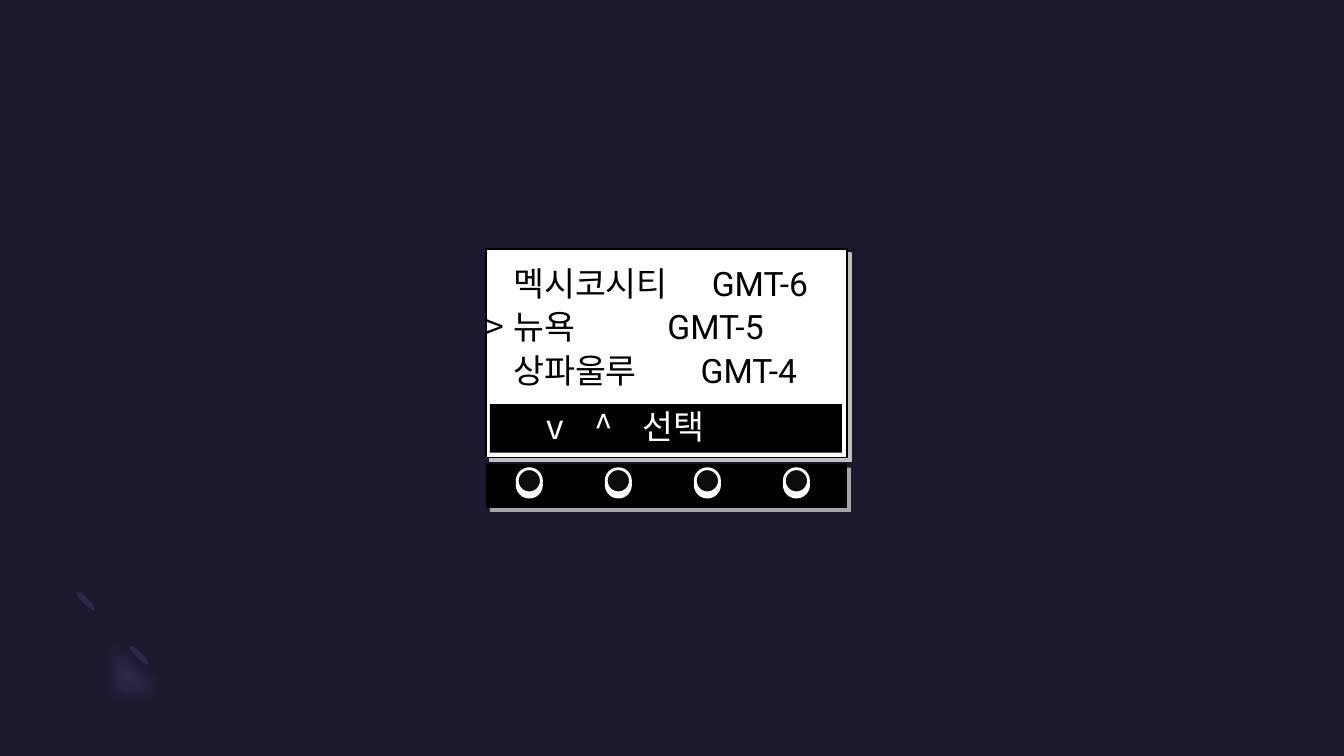
import pptx
import pptx.dml.color
import pptx.enum.shapes
import pptx.enum.text
import pptx.oxml
import pptx.oxml.ns
import pptx.util

Inches = pptx.util.Inches
Pt = pptx.util.Pt
SHAPE = pptx.enum.shapes.MSO_SHAPE
KOREAN, LATIN = "Noto Sans CJK KR", "Roboto"
NS = pptx.oxml.ns.nsdecls("a")


def colour(value):
    return pptx.dml.color.RGBColor.from_string(value)


def add_effect(shape, effect):
    shape.shadow.inherit = False
    shape._element.spPr.find(pptx.oxml.ns.qn("a:effectLst")).append(
        pptx.oxml.parse_xml(effect))


def add_shadow(shape, shade, distance, angle):
    add_effect(shape, f'<a:outerShdw {NS} blurRad="0" dist="{Pt(distance)}" '
                      f'dir="{angle * 60000}" algn="tl" rotWithShape="0">'
                      f'<a:srgbClr val="{shade}"/></a:outerShdw>')


def add_block(slide, kind, left, top, width, height, fill, line=None, weight=1):
    block = slide.shapes.add_shape(
        kind, Inches(left), Inches(top), Inches(width), Inches(height))
    block.shadow.inherit = False
    block.fill.solid()
    block.fill.fore_color.rgb = colour(fill)
    if line:
        block.line.color.rgb = colour(line)
        block.line.width = Pt(weight)
    else:
        block.line.fill.background()
    return block


def add_text(slide, runs, left, top, width, tabs, shade="000000", size=24):
    """Place one line of (text, font) runs, aligned on tab stops in inches."""
    label = slide.shapes.add_textbox(
        Inches(left), Inches(top), Inches(width), Inches(0.5))
    frame = label.text_frame
    frame.word_wrap = True
    frame.margin_left = frame.margin_right = 0
    paragraph = frame.paragraphs[0]
    stops = "".join(f'<a:tab pos="{Inches(stop)}" algn="l"/>' for stop in tabs)
    paragraph._p.get_or_add_pPr().append(
        pptx.oxml.parse_xml(f"<a:tabLst {NS}>{stops}</a:tabLst>"))
    for text, font in runs:
        run = paragraph.add_run()
        run.text = text
        run.font.name = font
        run.font.size = Pt(size)
        run.font.color.rgb = colour(shade)
        run._r.get_or_add_rPr().append(
            pptx.oxml.parse_xml(f'<a:ea {NS} typeface="{font}"/>'))


def curve(p0, p1, p2, p3, steps=12):
    """Points along a cubic curve, without its start."""
    points = []
    for step in range(1, steps + 1):
        t = step / steps
        weights = ((1 - t) ** 3, 3 * t * (1 - t) ** 2, 3 * t * t * (1 - t), t ** 3)
        points.append(tuple(
            sum(w * p[axis] for w, p in zip(weights, (p0, p1, p2, p3)))
            for axis in (0, 1)))
    return points


def draw_corner_ornament(slide, left, top):
    # Tilted ellipses at the ends of the arc
    for x, y in ((0.79, 0.55), (0.26, 0.01)):
        tip = add_block(slide, SHAPE.OVAL, left + x, top + y, 0.06, 0.26, "2C284A")
        tip.rotation = 135

    # Faint arc with soft edges
    outline = [(0.2, 0.77)]
    outline += curve(outline[-1], (0, 0.57), (0.02, 0.23), (0.25, 0))
    outline.append((0.43, 0.18))
    outline += curve(outline[-1], (0.31, 0.29), (0.3, 0.47), (0.4, 0.56))
    outline += curve(outline[-1], (0.5, 0.66), (0.67, 0.65), (0.79, 0.54))
    outline.append((0.96, 0.72))
    outline += curve(outline[-1], (0.74, 0.94), (0.39, 0.97), (0.2, 0.77))
    points = [(left + x, top + y) for x, y in outline]
    builder = slide.shapes.build_freeform(*points[0], scale=Inches(1))
    builder.add_line_segments(points[1:], close=True)
    arc = builder.convert_to_shape()
    arc.fill.solid()
    arc.fill.fore_color.rgb = colour("7771B2")
    arc.fill._xPr.find(".//" + pptx.oxml.ns.qn("a:srgbClr")).append(
        pptx.oxml.parse_xml(f'<a:alpha {NS} val="20000"/>'))
    arc.line.fill.background()
    add_effect(arc, f'<a:softEdge {NS} rad="{Pt(10)}"/>')


def draw_screen(slide, left, top, width, height):
    panel = add_block(slide, SHAPE.RECTANGLE, left, top, width, height,
                      "FFFFFF", "000000", 1)
    add_shadow(panel, "BFBFBF", 4, 45)

    # Time zone list, with a marker at the selected city
    zones = (("", "멕시코시티", "GMT-6", 2.24),
             (">", "뉴욕", "GMT-5", 1.8),
             ("", "상파울루", "GMT-4", 2.13))
    for row, (marker, city, offset, offset_left) in enumerate(zones):
        add_text(slide, ((f"{marker}\t{city}\t", KOREAN), (offset, LATIN)),
                 left, top + 0.09 + row * 0.43, width, (0.27, offset_left))

    # Soft key bar
    bar_top = top + height - 0.53
    add_block(slide, SHAPE.RECTANGLE, left + 0.04, bar_top, width - 0.09, 0.48,
              "000000")
    add_text(slide, (("\tv\t^\t선택", KOREAN),), left, bar_top - 0.03, width,
             (0.6, 1.08, 1.55), shade="FFFFFF")


def draw_buttons(slide, left, top, width, height):
    strip = add_block(slide, SHAPE.RECTANGLE, left, top, width, height, "000000")
    add_shadow(strip, "A6A6A6", 4, 45)
    for number in range(4):
        button = add_block(slide, SHAPE.OVAL, left + 0.31 + number * 0.883,
                           top + 0.05, 0.24, 0.24, "0D0D0D", "FFFFFF", 2)
        add_shadow(button, "FFFFFF", 3, 90)


def main():
    deck = pptx.Presentation()
    deck.slide_width, deck.slide_height = Inches(13.33), Inches(7.5)
    slide = deck.slides.add_slide(deck.slide_layouts[6])
    slide.background.fill.solid()
    slide.background.fill.fore_color.rgb = colour("1B192E")
    draw_corner_ornament(slide, 0.56, 5.82)
    draw_screen(slide, 4.82, 2.47, 3.58, 2.07)
    draw_buttons(slide, 4.82, 4.6, 3.58, 0.44)
    deck.save("out.pptx")


if __name__ == "__main__":
    main()
